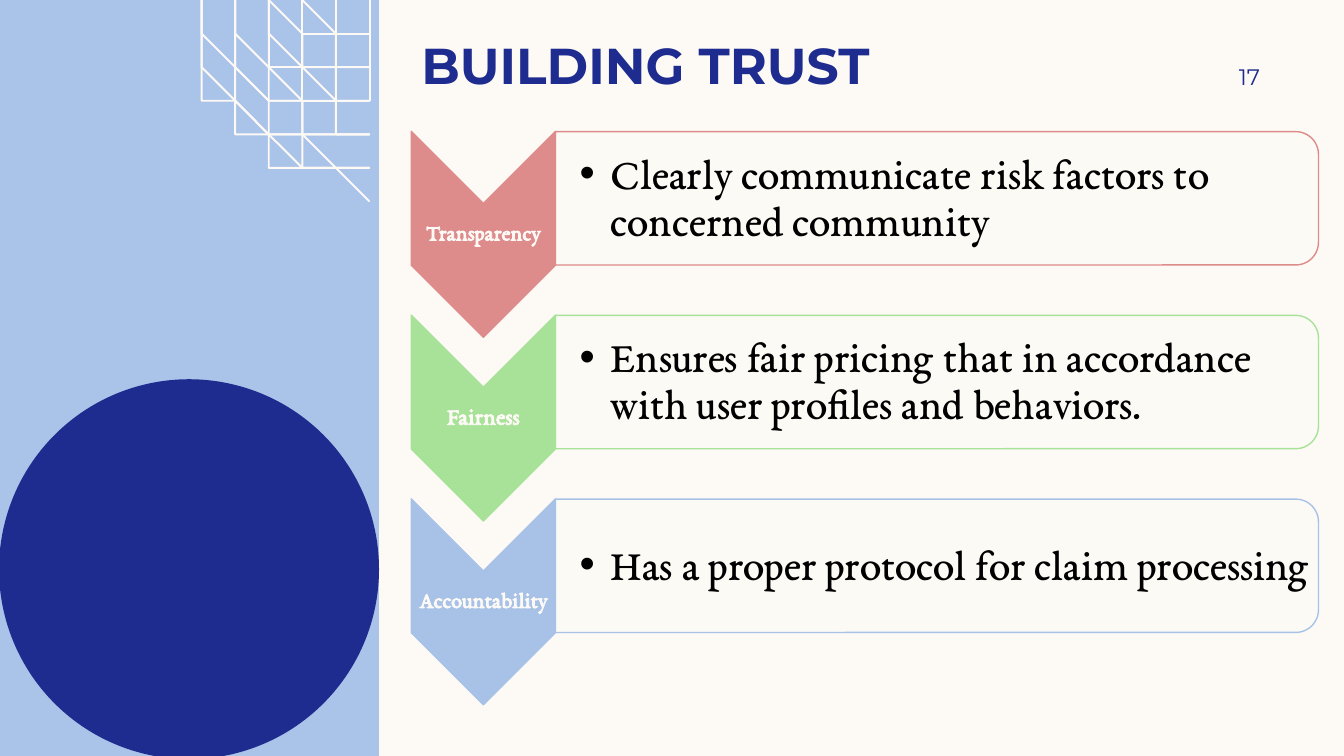
from dataclasses import dataclass
from math import cos, pi, sin

from lxml.etree import SubElement
from pptx import Presentation
from pptx.dml.color import RGBColor
from pptx.enum.shapes import MSO_SHAPE as Preset
from pptx.enum.text import MSO_ANCHOR as Anchor, PP_ALIGN as Align
from pptx.oxml.ns import qn
from pptx.shapes.autoshape import Shape
from pptx.slide import Slide
from pptx.text.text import _Paragraph as Paragraph
from pptx.util import Inches, Pt

COLUMNS = 40
SLIDE_WIDTH = Inches(13.33)
SLIDE_HEIGHT = Inches(7.5)
CELL = SLIDE_WIDTH / COLUMNS
ROWS = SLIDE_HEIGHT / CELL

CREAM = RGBColor(0xFD, 0xFA, 0xF6)
IVORY = RGBColor(0xFB, 0xFA, 0xF5)
SKY = RGBColor(0xAA, 0xC3, 0xE8)
NAVY = RGBColor(0x1F, 0x2C, 0x8F)
ROSE = RGBColor(0xDE, 0x8B, 0x8C)
GREEN = RGBColor(0xA8, 0xE2, 0x99)
BLUE = RGBColor(0xA8, 0xC2, 0xE7)
BLACK = RGBColor(0, 0, 0)

HEADING_FONT = "Montserrat"
BODY_FONT = "EB Garamond"

SIDEBAR_WIDTH = 11.28
RING_COUNT = 17
LARGEST_RING = 5.61
SMALLEST_RING = 0.69
RING_POINTS = 1.4
ARC_STEPS = 12
ROW_PITCH = 5.47


@dataclass(frozen=True)
class Box:
    left: float
    top: float
    width: float
    height: float

    def down(self, rows: float) -> "Box":
        return Box(self.left, self.top + rows, self.width, self.height)

    def turned(self) -> "Box":
        shift = (self.width - self.height) / 2
        return Box(self.left + shift, self.top - shift, self.height, self.width)

    def lengths(self) -> tuple[int, int, int, int]:
        return (cells(self.left), cells(self.top), cells(self.width), cells(self.height))


@dataclass(frozen=True)
class Style:
    font: str
    size: float
    color: RGBColor
    bold: bool = False


@dataclass(frozen=True)
class TrustRow:
    label: str
    label_size: float
    detail: str
    color: RGBColor


CHEVRON_BOX = Box(12.24, 3.91, 4.29, 6.13)
LABEL_BOX = Box(12.24, 6.03, 4.29, 1.83)
PANEL_BOX = Box(16.53, 3.92, 22.71, 3.97)
DETAIL_BOX = Box(16.53, 4.11, 22.53, 3.6)

TRUST_ROWS = [
    TrustRow("Transparency", 16,
             "Clearly communicate risk factors to concerned community", ROSE),
    TrustRow("Fairness", 17,
             "Ensures fair pricing that in accordance with user profiles and behaviors.", GREEN),
    TrustRow("Accountability", 16, "Has a proper protocol for claim processing", BLUE),
]


def cells(count: float) -> int:
    return round(count * CELL)


def add_preset(slide: Slide, preset: Preset, box: Box, fill: RGBColor,
               line: RGBColor | None = None, quarter_turn: bool = False) -> Shape:
    placed = box.turned() if quarter_turn else box
    shape = slide.shapes.add_shape(preset, *placed.lengths())
    shape.rotation = 90 if quarter_turn else 0
    shape.shadow.inherit = False
    shape.fill.solid()
    shape.fill.fore_color.rgb = fill
    if line is None:
        shape.line.fill.background()
    else:
        shape.line.color.rgb = line
        shape.line.width = Pt(1)
    return shape


def add_text(slide: Slide, box: Box, text: str, style: Style, anchor: Anchor,
             align: Align, insets: tuple[float, float, float, float]) -> Paragraph:
    frame = slide.shapes.add_textbox(*box.lengths()).text_frame
    frame.word_wrap = True
    frame.vertical_anchor = anchor
    (frame.margin_left, frame.margin_top,
     frame.margin_right, frame.margin_bottom) = map(cells, insets)
    paragraph = frame.paragraphs[0]
    paragraph.alignment = align
    run = paragraph.add_run()
    run.text = text
    run.font.name = style.font
    run.font.size = Pt(style.size)
    run.font.bold = style.bold
    run.font.color.rgb = style.color
    return paragraph


def add_bullet(paragraph: Paragraph, indent: float) -> None:
    properties = paragraph._p.get_or_add_pPr()
    properties.set("marL", str(cells(indent)))
    properties.set("indent", str(-cells(indent)))
    color = SubElement(properties, qn("a:buClr"))
    SubElement(color, qn("a:srgbClr"), val=str(BLACK))
    SubElement(properties, qn("a:buFont"), typeface="Arial")
    SubElement(properties, qn("a:buChar"), char="•")


def set_opacity(shape: Shape, percent: int) -> None:
    color = shape._element.spPr.find(qn("a:solidFill")).find(qn("a:srgbClr"))
    SubElement(color, qn("a:alpha"), val=str(percent * 1000))


def quarter_arc(radius: float) -> list[tuple[float, float]]:
    angles = [pi / 2 * step / ARC_STEPS for step in range(ARC_STEPS + 1)]
    return [(SIDEBAR_WIDTH - radius * cos(angle), radius * sin(angle)) for angle in angles]


def add_rings(slide: Slide) -> None:
    gap = (LARGEST_RING - SMALLEST_RING) / (RING_COUNT - 1)
    builder = slide.shapes.build_freeform(SIDEBAR_WIDTH - LARGEST_RING, 0, scale=CELL)
    for index in range(RING_COUNT):
        start, *rest = quarter_arc(LARGEST_RING - index * gap)
        if index:
            builder.move_to(*start)
        builder.add_line_segments(rest, close=False)
    rings = builder.convert_to_shape()
    rings.shadow.inherit = False
    rings.fill.background()
    rings.line.color.rgb = CREAM
    rings.line.width = Pt(RING_POINTS)


def add_sidebar(slide: Slide) -> None:
    add_preset(slide, Preset.RECTANGLE, Box(0, 0, SIDEBAR_WIDTH, ROWS), SKY)
    add_rings(slide)
    add_preset(slide, Preset.OVAL, Box(-0.03, 11.29, 11.31, 11.31), NAVY)


def add_trust_row(slide: Slide, row: TrustRow, offset: float) -> None:
    add_preset(slide, Preset.CHEVRON, CHEVRON_BOX.down(offset), row.color, row.color, True)
    label = add_text(slide, LABEL_BOX.down(offset), row.label,
                     Style(BODY_FONT, row.label_size, CREAM, True),
                     Anchor.MIDDLE, Align.CENTER, (0.03, 0.03, 0.03, 0.03))
    label.line_spacing = 0.9
    panel = add_preset(slide, Preset.ROUND_2_SAME_RECTANGLE, PANEL_BOX.down(offset),
                       IVORY, row.color, True)
    panel.adjustments[0] = 0.17
    panel.adjustments[1] = 0
    set_opacity(panel, 90)
    detail = add_text(slide, DETAIL_BOX.down(offset), row.detail, Style(BODY_FONT, 31, BLACK),
                      Anchor.MIDDLE, Align.LEFT, (0.72, 0.06, 0.06, 0.06))
    detail.line_spacing = 0.9
    add_bullet(detail, 0.93)


def main() -> None:
    presentation = Presentation()
    presentation.slide_width = SLIDE_WIDTH
    presentation.slide_height = SLIDE_HEIGHT
    slide = presentation.slides.add_slide(presentation.slide_layouts[6])
    slide.background.fill.solid()
    slide.background.fill.fore_color.rgb = CREAM
    add_sidebar(slide)
    add_text(slide, Box(12.24, 0.9, 15.51, 1.93), "BUILDING TRUST",
             Style(HEADING_FONT, 36, NAVY, True), Anchor.BOTTOM, Align.LEFT, (0.3, 0, 0.3, 0))
    add_text(slide, Box(34.26, 1.5, 3.24, 1.56), "17",
             Style(HEADING_FONT, 16, NAVY), Anchor.MIDDLE, Align.RIGHT, (0.3, 0.15, 0, 0.15))
    for index, row in enumerate(TRUST_ROWS):
        add_trust_row(slide, row, index * ROW_PITCH)
    presentation.save("out.pptx")


if __name__ == "__main__":
    main()
